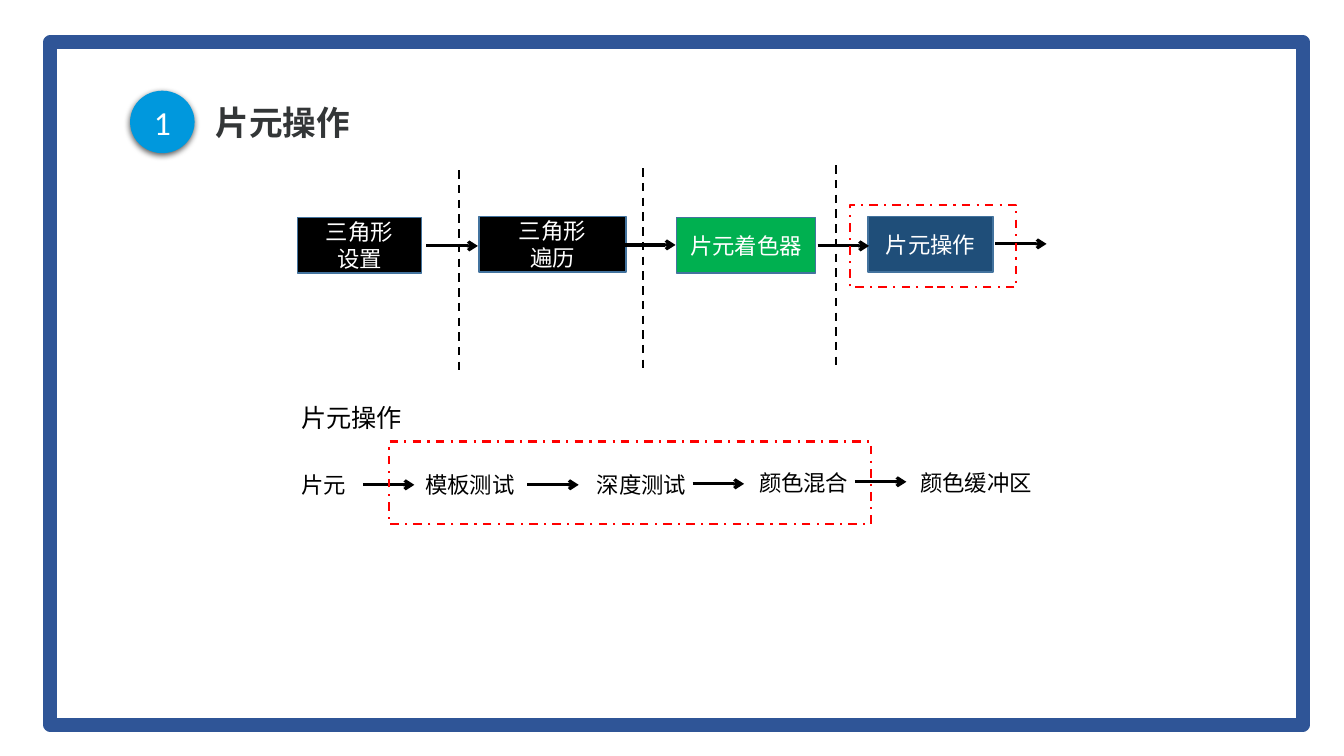
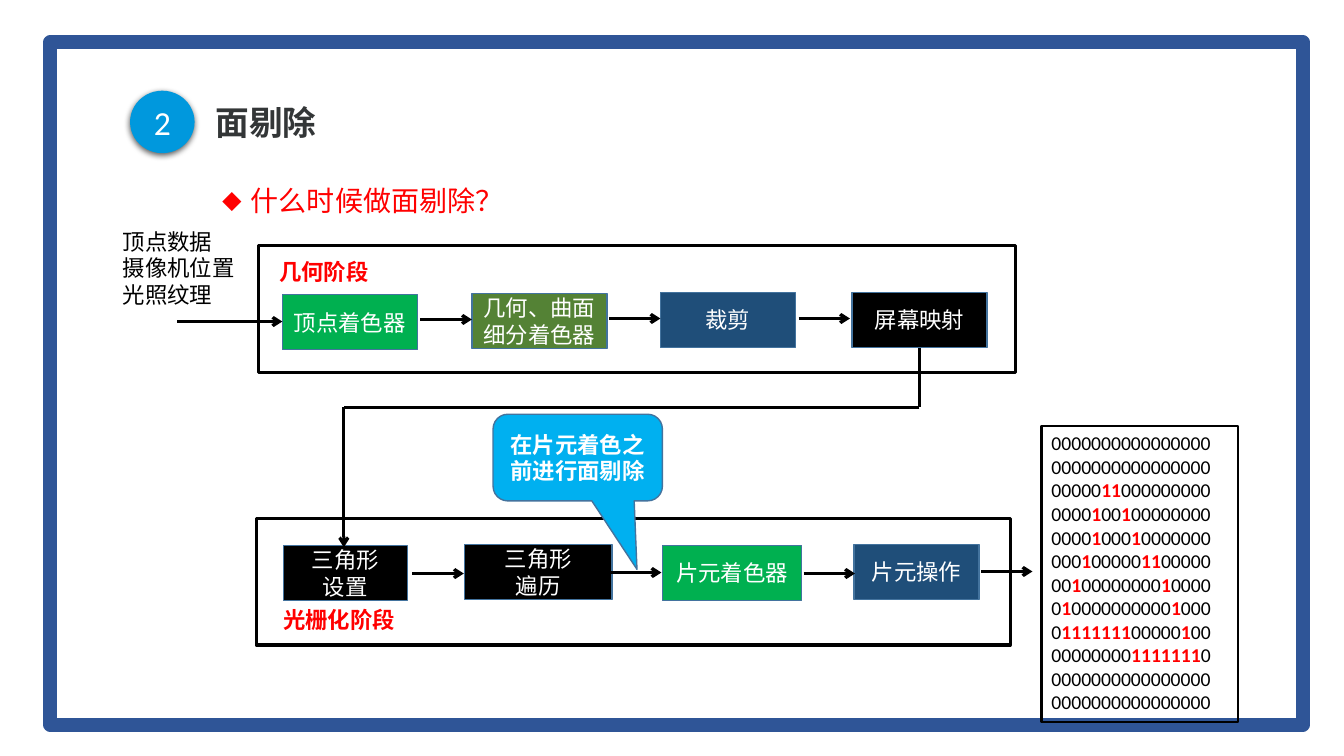
"""Build two slides on fragment operations and face culling in the rendering pipeline."""
from itertools import groupby

from lxml import etree
from pptx import Presentation
from pptx import util as u
from pptx.dml.color import RGBColor
from pptx.enum import dml, shapes, text
from pptx.oxml import ns

PX = 9144
CJK, LATIN = "Noto Sans CJK SC", "Calibri"
BLACK, WHITE = RGBColor(0, 0, 0), RGBColor(255, 255, 255)
RED = RGBColor(255, 0, 0)
BORDER = RGBColor(0x2F, 0x55, 0x97)
EDGE = RGBColor(0x43, 0x73, 0x9E)
NAVY = RGBColor(0x1F, 0x4E, 0x79)
GREEN = RGBColor(0x00, 0xB0, 0x50)
OLIVE = RGBColor(0x54, 0x82, 0x35)
BADGE = RGBColor(0x00, 0x98, 0xDD)
SKY = RGBColor(0x00, 0xB0, 0xF0)
TITLE = RGBColor(0x33, 0x36, 0x37)
MSO, ALIGN, DASH = shapes.MSO_SHAPE, text.PP_ALIGN, dml.MSO_LINE

BOX_H, ARROW = 55, 51
RASTER_BOXES = [
    (295, 216, 123, BLACK, "三角形\n设置"),
    (475, 215, 146, BLACK, "三角形\n遍历"),
    (671, 216, 138, GREEN, "片元着色器"),
    (861, 215, 124, NAVY, "片元操作"),
]
RASTER_ARROWS = [(423, 244), (619, 243), (811, 244), (987, 242)]
DIVIDERS = [(455, 169), (638, 167), (829, 164)]
DIVIDER_H = 204
TEST_LABELS = [
    (289, 462, 65, "片元"),
    (412, 463, 110, "模板测试"),
    (582, 462, 110, "深度测试"),
    (743, 461, 110, "颜色混合"),
    (903, 461, 166, "颜色缓冲区"),
]
TEST_ARROWS = [(360, 481), (523, 481), (687, 480), (848, 478)]
HIGHLIGHTS = [(843, 203, 165, 82), (386, 438, 478, 82)]

GEOMETRY_BOXES = [
    (280, 292, 134, GREEN, "顶点着色器"),
    (468, 291, 134, OLIVE, "几何、曲面细分着色器"),
    (655, 290, 134, NAVY, "裁剪"),
    (845, 290, 134, BLACK, "屏幕映射"),
]
GEOMETRY_ARROWS = [(417, 317), (604, 316), (792, 316)]
STAGES = [
    ((256, 244, 751, 126), (267, 251, 110, 37), "几何阶段"),
    ((254, 514, 748, 126), (271, 596, 132, 37), "光栅化阶段"),
]
BITMAP = [
    "0000000000000000",
    "0000000000000000",
    "0000011000000000",
    "0000100100000000",
    "0000100010000000",
    "0001000001100000",
    "0010000000010000",
    "0100000000001000",
    "0111111100000100",
    "0000000011111110",
    "0000000000000000",
    "0000000000000000",
]


def emu(*lengths):
    return [u.Emu(n * PX) for n in lengths]


def style_run(r, size, color, bold=False, font=CJK):
    r.font.size, r.font.bold, r.font.name = u.Pt(size), bold, font
    r.font.color.rgb = color
    etree.SubElement(r._r.get_or_add_rPr(), ns.qn("a:ea"), typeface=font)


def write(sp, content, size, color, align=ALIGN.LEFT, bold=False, font=CJK):
    tf = sp.text_frame
    tf.text = content
    for p in tf.paragraphs:
        p.alignment = align
        for r in p.runs:
            style_run(r, size, color, bold, font)


def shape(s, kind, box, fill=None, line=None, width=1, dash=None):
    sp = s.shapes.add_shape(kind, *emu(*box))
    sp.shadow.inherit = False
    if fill is None:
        sp.fill.background()
    else:
        sp.fill.solid()
        sp.fill.fore_color.rgb = fill
    if line is None:
        sp.line.fill.background()
    else:
        sp.line.color.rgb = line
        sp.line.width = u.Pt(width)
        if dash:
            sp.line.dash_style = dash
    sp.text_frame.word_wrap = True
    sp.text_frame.vertical_anchor = text.MSO_ANCHOR.MIDDLE
    return sp


def label(s, box, content, size=16, color=BLACK, bold=False, wrap=False):
    sp = s.shapes.add_textbox(*emu(*box))
    sp.text_frame.word_wrap = wrap
    write(sp, content, size, color, bold=bold)
    return sp


def line(s, x1, y1, x2, y2, width=2.25, dash=None, arrow=True):
    c = s.shapes.add_connector(shapes.MSO_CONNECTOR.STRAIGHT, *emu(x1, y1, x2, y2))
    c.line.color.rgb = BLACK
    c.line.width = u.Pt(width)
    if dash:
        c.line.dash_style = dash
    props = c._element.spPr
    if arrow:
        etree.SubElement(props.find(ns.qn("a:ln")), ns.qn("a:tailEnd"), type="arrow")
    etree.SubElement(props, ns.qn("a:effectLst"))


def arrows(s, starts, dx=0, dy=0):
    for x, y in starts:
        line(s, x + dx, y + dy, x + dx + ARROW, y + dy)


def stage_boxes(s, boxes, dx=0, dy=0):
    for x, y, w, fill, name in boxes:
        sp = shape(s, MSO.RECTANGLE, (x + dx, y + dy, w, BOX_H), fill, EDGE)
        write(sp, name, 16, WHITE, ALIGN.CENTER)


def raster_pipeline(s, dx=0, dy=0):
    stage_boxes(s, RASTER_BOXES, dx, dy)
    arrows(s, RASTER_ARROWS, dx, dy)


def new_slide(prs, number, title):
    s = prs.slides.add_slide(prs.slide_layouts[6])
    shape(s, MSO.RECTANGLE, (50, 42, 1242, 677), line=BORDER, width=10)
    sp = label(s, (204, 93, 835, 61), title, 24, TITLE, bold=True, wrap=True)
    sp.text_frame.vertical_anchor = text.MSO_ANCHOR.MIDDLE
    sp.text_frame.paragraphs[0].line_spacing = 0.9
    badge = shape(s, MSO.OVAL, (129, 90, 64, 62), BADGE)
    write(badge, str(number), 24, WHITE, ALIGN.CENTER, font=LATIN)
    effects = badge._element.spPr.find(ns.qn("a:effectLst"))
    shadow = etree.SubElement(effects, ns.qn("a:outerShdw"), blurRad=str(u.Pt(4.5)),
                              dist=str(u.Pt(1.5)), dir="5400000", rotWithShape="0")
    tint = etree.SubElement(shadow, ns.qn("a:srgbClr"), val=str(BLACK))
    etree.SubElement(tint, ns.qn("a:alpha"), val="63000")
    return s


def question(s):
    sp = s.shapes.add_textbox(*emu(205, 161, 1043, 54))
    sp.text_frame.word_wrap = True
    p = sp.text_frame.paragraphs[0]
    p.line_spacing = 1.5
    props = p._p.get_or_add_pPr()
    props.set("marL", str(34 * PX))
    props.set("indent", str(-28 * PX))
    etree.SubElement(props, ns.qn("a:buSzPct"), val="70000")
    etree.SubElement(props, ns.qn("a:buFont"), typeface=CJK)
    etree.SubElement(props, ns.qn("a:buChar"), char="◆")
    r = p.add_run()
    r.text = "什么时候做面剔除？"
    style_run(r, 20, RED)


def bitmap(s):
    sp = shape(s, MSO.RECTANGLE, (1033, 423, 195, 293), line=BLACK, width=1.5)
    tf = sp.text_frame
    tf.vertical_anchor = text.MSO_ANCHOR.TOP
    for i, row in enumerate(BITMAP):
        p = tf.add_paragraph() if i else tf.paragraphs[0]
        p.alignment = ALIGN.JUSTIFY
        for digit, group in groupby(row):
            r = p.add_run()
            r.text = "".join(group)
            lit = digit == "1"
            style_run(r, 14, RED if lit else BLACK, lit, LATIN)


def fragment_slide(prs):
    s = new_slide(prs, 1, "片元操作")
    for x, y in DIVIDERS:
        line(s, x, y, x, y + DIVIDER_H, 1.5, DASH.DASH, arrow=False)
    raster_pipeline(s)
    for x, y, w, name in TEST_LABELS:
        label(s, (x, y, w, 37), name)
    arrows(s, TEST_ARROWS)
    for box in HIGHLIGHTS:
        shape(s, MSO.RECTANGLE, box, line=RED, width=1.5, dash=DASH.DASH_DOT)
    label(s, (289, 394, 121, 40), "片元操作", 18)


def culling_slide(prs):
    s = new_slide(prs, 2, "面剔除")
    question(s)
    label(s, (112, 221, 132, 91), "顶点数据\n摄像机位置\n光照纹理")
    stage_boxes(s, GEOMETRY_BOXES)
    line(s, 176, 319, 280, 319)
    arrows(s, GEOMETRY_ARROWS)
    raster_pipeline(s, -14, 325)
    line(s, 912, 345, 912, 404, arrow=False)
    line(s, 912, 404, 341, 404, arrow=False)
    line(s, 341, 404, 341, 543)
    bitmap(s)
    for frame, caption, name in STAGES:
        shape(s, MSO.RECTANGLE, frame, line=BLACK, width=2.25)
        label(s, caption, name, color=RED, bold=True)
    callout = shape(s, MSO.ROUNDED_RECTANGULAR_CALLOUT, (489, 411, 168, 86), SKY, EDGE)
    for i, value in enumerate((0.35, 1.29, 0.17)):
        callout.adjustments[i] = value
    write(callout, "在片元着色之前进行面剔除", 16, WHITE, ALIGN.CENTER, bold=True)


def main():
    prs = Presentation()
    prs.slide_width, prs.slide_height = emu(1333, 750)
    fragment_slide(prs)
    culling_slide(prs)
    prs.save("out.pptx")


if __name__ == "__main__":
    main()
